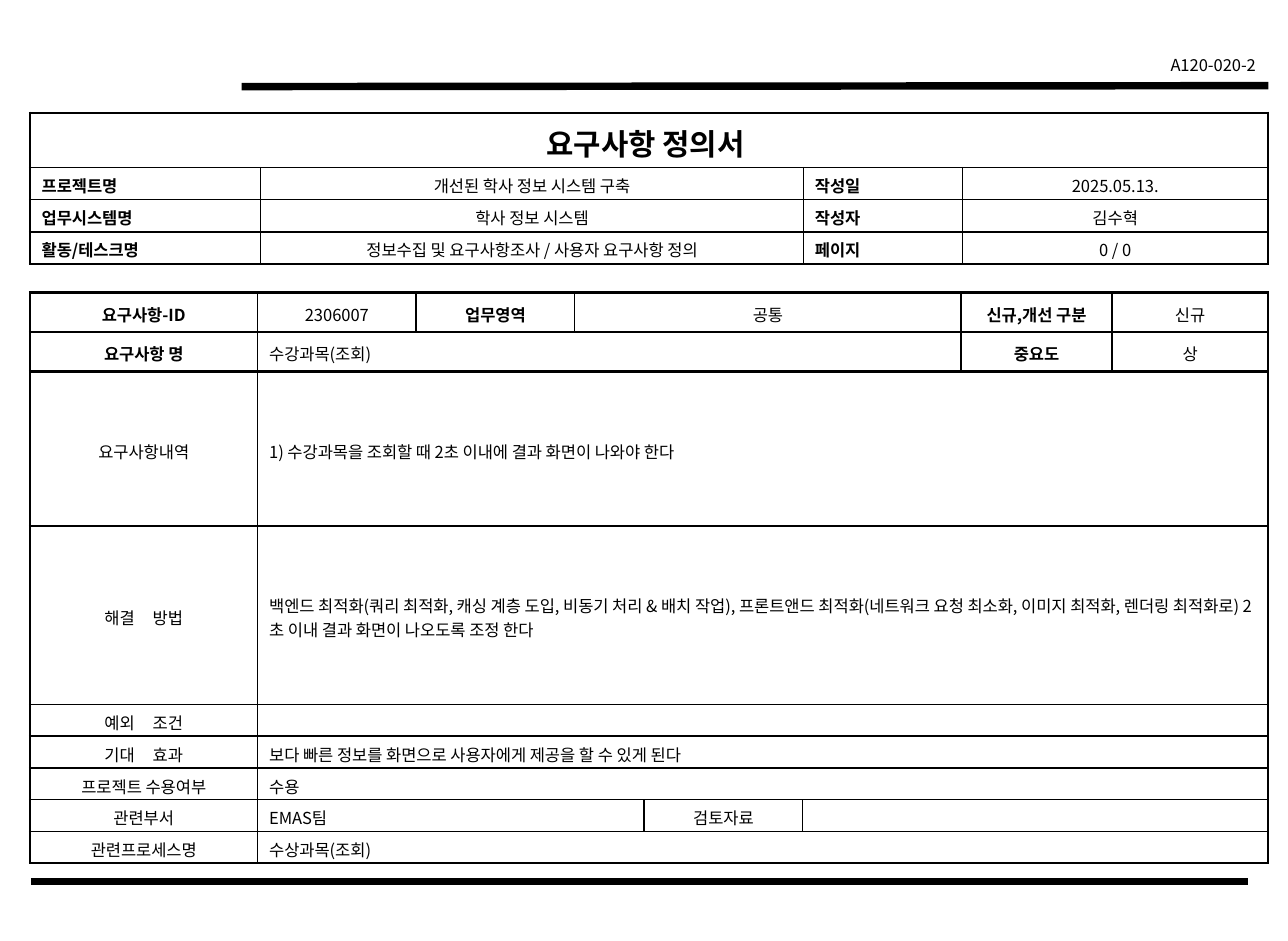
from dataclasses import dataclass

from lxml import etree
from pptx import Presentation
from pptx.dml.color import RGBColor
from pptx.enum.shapes import MSO_CONNECTOR
from pptx.enum.text import MSO_ANCHOR, PP_ALIGN
from pptx.oxml.ns import qn
from pptx.slide import Slide
from pptx.table import _Cell
from pptx.text.text import TextFrame
from pptx.util import Cm, Pt

LEFT, CENTER, RIGHT, JUSTIFY = PP_ALIGN.LEFT, PP_ALIGN.CENTER, PP_ALIGN.RIGHT, PP_ALIGN.JUSTIFY
TOP, MIDDLE = MSO_ANCHOR.TOP, MSO_ANCHOR.MIDDLE
STRAIGHT = MSO_CONNECTOR.STRAIGHT


@dataclass(frozen=True)
class Theme:
    font: str = "Noto Sans CJK KR"
    ink: str = "000000"
    body: float = 10
    title: float = 18
    thin: float = 1
    thick: float = 1.5
    rule: float = 4.5
    paragraph_gap: float = 2
    word_gap: float = 8.6


THEME = Theme()


@dataclass(frozen=True)
class Field:
    text: str
    span: int = 1
    align: PP_ALIGN = CENTER
    bold: bool = False
    size: float = THEME.body
    anchor: MSO_ANCHOR = MIDDLE
    spread: bool = False


@dataclass(frozen=True)
class Form:
    left: float
    top: float
    columns: tuple[float, ...]
    heights: tuple[float, ...]
    rows: tuple[tuple[Field, ...], ...]
    heavy_rows: int = 0


@dataclass(frozen=True)
class Rule:
    x1: float
    y1: float
    x2: float
    y2: float


def heading(text: str) -> Field:
    return Field(text, bold=True)


def answer(text: str, span: int = 7) -> Field:
    return Field(text, span=span, align=LEFT)


def info_row(label: str, value: str, side_label: str, side_value: str) -> tuple[Field, ...]:
    return (
        Field(label, align=JUSTIFY, bold=True, anchor=TOP),
        Field(value, anchor=TOP),
        Field(side_label, align=JUSTIFY, bold=True, anchor=TOP),
        Field(side_value, anchor=TOP),
    )


DOCUMENT_INFO = Form(
    left=0.64, top=2.41,
    columns=(4.93, 11.59, 3.4, 6.53),
    heights=(1.17, 0.69, 0.69, 0.69),
    rows=(
        (Field("요구사항 정의서 ", span=4, bold=True, size=THEME.title),),
        info_row("프로젝트명", "개선된 학사 정보 시스템 구축", "작성일", "2025.05.13."),
        info_row("업무시스템명 ", "학사 정보 시스템", "작성자", "김수혁"),
        info_row("활동/테스크명", "정보수집 및 요구사항조사 / 사용자 요구사항 정의", "페이지", "0 / 0"),
    ),
)

REQUIREMENT = Form(
    left=0.64, top=6.25,
    columns=(4.86, 3.39, 3.39, 1.48, 3.39, 3.38, 3.23, 3.33),
    heights=(0.84, 0.85, 3.3, 3.81) + (0.68,) * 5,
    heavy_rows=2,
    rows=(
        (heading("요구사항-ID"), Field("2306007"), heading("업무영역"), Field("공통", span=3),
         heading("신규,개선 구분"), Field("신규")),
        (heading("요구사항 명"), answer("수강과목(조회)", 5), heading("중요도"), Field("상")),
        (Field("요구사항내역"), answer("1) 수강과목을 조회할 때 2초 이내에 결과 화면이 나와야 한다")),
        (Field("해결 방법", spread=True),
         answer("백엔드 최적화(쿼리 최적화, 캐싱 계층 도입, 비동기 처리 & 배치 작업), "
                "프론트앤드 최적화(네트워크 요청 최소화, 이미지 최적화, 렌더링 최적화로) "
                "2초 이내 결과 화면이 나오도록 조정 한다")),
        (Field("예외 조건", spread=True), answer("")),
        (Field("기대 효과", spread=True),
         answer("보다 빠른 정보를 화면으로 사용자에게 제공을 할 수 있게 된다")),
        (Field("프로젝트 수용여부"), answer("수용")),
        (Field("관련부서"), answer("EMAS팀", 3), Field("검토자료"), answer("", 3)),
        (Field("관련프로세스명"), answer("수상과목(조회)")),
    ),
)

RULES = (Rule(5.16, 1.85, 27.1, 1.83), Rule(0.66, 18.84, 26.67, 18.84))


def write(frame: TextFrame, text: str, *, align: PP_ALIGN = LEFT, size: float = THEME.body,
          bold: bool = False, spread: bool = False, before: float = 0) -> None:
    paragraph = frame.paragraphs[0]
    paragraph.alignment = align
    paragraph.space_before = Pt(before)
    if not text:
        etree.SubElement(paragraph._p, qn("a:endParaRPr"), sz=str(int(size * 100)))
        return
    for part in text.partition(" ") if spread else (text,):
        run = paragraph.add_run()
        run.text = part
        run.font.size = Pt(size)
        run.font.bold = bold
        run.font.color.rgb = RGBColor.from_string(THEME.ink)
        run.font.name = THEME.font
        properties = run._r.get_or_add_rPr()
        properties.set("kern", "0")
        etree.SubElement(properties, qn("a:ea"), typeface=THEME.font)
        if part == " ":
            properties.set("spc", str(int(THEME.word_gap * 100)))


def set_borders(cell: _Cell, **widths: float) -> None:
    properties = cell._tc.get_or_add_tcPr()
    for side, width in widths.items():
        border = etree.SubElement(properties, qn(f"a:ln{side}"), w=str(Pt(width)))
        fill = etree.SubElement(border, qn("a:solidFill"))
        etree.SubElement(fill, qn("a:srgbClr"), val=THEME.ink)


def edge(thick: bool) -> float:
    return THEME.thick if thick else THEME.thin


def add_form(slide: Slide, form: Form) -> None:
    row_count, column_count = len(form.heights), len(form.columns)
    table = slide.shapes.add_table(
        row_count, column_count, Cm(form.left), Cm(form.top),
        Cm(sum(form.columns)), Cm(sum(form.heights))).table
    table.first_row = table.horz_banding = False
    for column, width in zip(table.columns, form.columns):
        column.width = Cm(width)
    for row, height in zip(table.rows, form.heights):
        row.height = Cm(height)
    for r, fields in enumerate(form.rows):
        start = 0
        for field in fields:
            end = start + field.span
            cell = table.cell(r, start)
            if field.span > 1:
                cell.merge(table.cell(r, end - 1))
            cell.vertical_anchor = field.anchor
            cell.margin_left = cell.margin_right = Cm(0.25)
            cell.margin_top, cell.margin_bottom = Cm(0.12), Cm(0.03)
            write(cell.text_frame, field.text, align=field.align, size=field.size,
                  bold=field.bold, spread=field.spread, before=THEME.paragraph_gap)
            set_borders(
                cell, L=edge(start == 0), R=edge(end == column_count),
                T=edge(r == 0 or 0 < r <= form.heavy_rows),
                B=edge(r == row_count - 1 or r < form.heavy_rows))
            cell.fill.background()
            for spanned in range(start + 1, end):
                hidden = table.cell(r, spanned)
                hidden.margin_top = hidden.margin_bottom = 0
                write(hidden.text_frame, "")
                hidden.fill.background()
            start = end


def add_rule(slide: Slide, rule: Rule) -> None:
    bar = slide.shapes.add_connector(
        STRAIGHT, Cm(rule.x1), Cm(rule.y1), Cm(rule.x2), Cm(rule.y2))
    bar.line.width = Pt(THEME.rule)
    bar.line.color.rgb = RGBColor.from_string(THEME.ink)
    etree.SubElement(bar._element.spPr, qn("a:effectLst"))


def main() -> None:
    deck = Presentation()
    deck.slide_width, deck.slide_height = Pt(780), Pt(570)
    slide = deck.slides.add_slide(deck.slide_layouts[6])
    for rule in RULES:
        add_rule(slide, rule)
    form_code = slide.shapes.add_textbox(Cm(24.33), Cm(1.05), Cm(2.75), Cm(0.68)).text_frame
    form_code.word_wrap = True
    write(form_code, "A120-020-2", align=RIGHT)
    for form in (DOCUMENT_INFO, REQUIREMENT):
        add_form(slide, form)
    deck.save("out.pptx")


if __name__ == "__main__":
    main()
